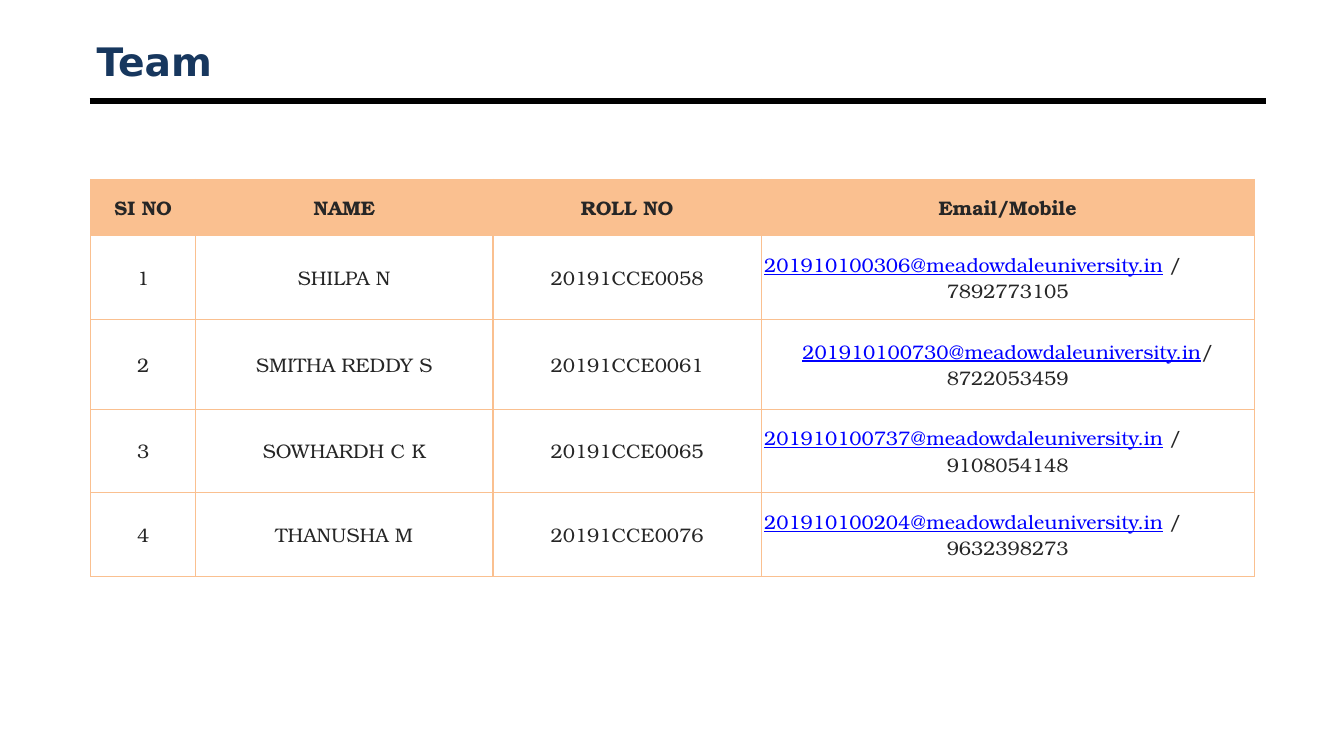
from dataclasses import dataclass
from lxml.etree import SubElement
from pptx import Presentation
from pptx.dml.color import RGBColor
from pptx.enum.shapes import MSO_CONNECTOR
from pptx.enum.text import MSO_ANCHOR, PP_ALIGN
from pptx.oxml import parse_xml
from pptx.oxml.ns import nsdecls, qn
from pptx.util import Inches, Pt


@dataclass(frozen=True)
class Theme:
    title: str = "17375E"
    rule: str = "000000"
    ink: str = "262626"
    link: str = "0000FF"
    accent: str = "FAC090"
    head_font: str = "DejaVu Sans"
    body_font: str = "TeX Gyre Bonum"
    head_size: float = 28
    body_size: float = 14
    rule_size: float = 4.5
    edge_size: float = 1


THEME = Theme()
MID, LEFT = PP_ALIGN.CENTER, PP_ALIGN.LEFT
DOMAIN = "@meadowdaleuniversity.in"
HEADS = ["SI NO", "NAME", "ROLL NO", "Email/Mobile"]
# Name, roll number, mail user, mark after the mail, mobile, mail alignment
TEAM = [
    ("SHILPA N", "20191CCE0058", "201910100306", " /", "7892773105", LEFT),
    ("SMITHA REDDY S", "20191CCE0061", "201910100730", "/", "8722053459", MID),
    ("SOWHARDH C K", "20191CCE0065", "201910100737", " /", "9108054148", LEFT),
    ("THANUSHA M", "20191CCE0076", "201910100204", " /", "9632398273", LEFT),
]
COLS = [1.04, 2.95, 2.66, 4.89]
ROWS = [0.56, 0.83, 0.89, 0.83, 0.83]


def add_run(para, text, color=THEME.ink, size=THEME.body_size,
            face=THEME.body_font, bold=False, under=False):
    run = para.add_run()
    run.text = text
    font = run.font
    font.name, font.size = face, Pt(size)
    font.bold, font.underline = bold, under
    font.color.rgb = RGBColor.from_string(color)


# Title with the rule below it
def add_title(slide, left, top, width, height, text):
    line = slide.shapes.add_connector(
        MSO_CONNECTOR.STRAIGHT, Inches(left + 0.03), Inches(top + 0.66),
        Inches(left + 11.7), Inches(top + 0.66))
    line.line.color.rgb = RGBColor.from_string(THEME.rule)
    line.line.width = Pt(THEME.rule_size)
    SubElement(line._element.spPr, qn("a:effectLst"))

    box = slide.shapes.add_textbox(
        Inches(left), Inches(top), Inches(width), Inches(height))
    frame = box.text_frame
    frame.word_wrap = True
    frame.vertical_anchor = MSO_ANCHOR.MIDDLE
    add_run(frame.paragraphs[0], text, THEME.title, THEME.head_size,
            THEME.head_font, bold=True)


def style_cell(cell, head):
    cell.vertical_anchor = MSO_ANCHOR.MIDDLE
    cell.margin_left = cell.margin_right = Inches(0.03)
    cell.margin_top = cell.margin_bottom = Inches(0.03)
    if head:
        cell.fill.solid()
        cell.fill.fore_color.rgb = RGBColor.from_string(THEME.accent)
    else:
        cell.fill.background()
    # Borders come before the fill in the cell properties
    props = cell._tc.get_or_add_tcPr()
    for spot, side in enumerate("LRTB"):
        props.insert(spot, parse_xml(
            f'<a:ln{side} {nsdecls("a")} w="{Pt(THEME.edge_size)}"><a:solidFill>'
            f'<a:srgbClr val="{THEME.accent}"/></a:solidFill></a:ln{side}>'))


# A cell holds paragraphs, each an alignment and a list of runs
def fill_cell(cell, paras, head=False):
    style_cell(cell, head)
    frame = cell.text_frame
    for spot, (align, runs) in enumerate(paras):
        para = frame.add_paragraph() if spot else frame.paragraphs[0]
        para.alignment = align
        for text, link in runs:
            add_run(para, text, THEME.link if link else THEME.ink,
                    bold=head, under=link)


# Team table
def add_team(slide, left, top):
    table = slide.shapes.add_table(
        len(ROWS), len(COLS), Inches(left), Inches(top),
        Inches(sum(COLS)), Inches(sum(ROWS))).table
    table.first_row = table.horz_banding = False
    for col, width in zip(table.columns, COLS):
        col.width = Inches(width)
    for row, height in zip(table.rows, ROWS):
        row.height = Inches(height)

    for col, text in enumerate(HEADS):
        fill_cell(table.cell(0, col), [(MID, [(text, False)])], head=True)
    for row, (name, roll, user, mark, phone, align) in enumerate(TEAM, 1):
        for col, text in enumerate([str(row), name, roll]):
            fill_cell(table.cell(row, col), [(MID, [(text, False)])])
        fill_cell(table.cell(row, 3), [
            (align, [(user + DOMAIN, True), (mark, False)]),
            (MID, [(phone, False)])])


def main():
    deck = Presentation()
    deck.slide_width, deck.slide_height = Inches(13.33), Inches(7.5)
    slide = deck.slides.add_slide(deck.slide_layouts[6])
    add_title(slide, 0.86, 0.34, 8.44, 0.53, "Team")
    add_team(slide, 0.9, 1.78)
    deck.save("out.pptx")


if __name__ == "__main__":
    main()
